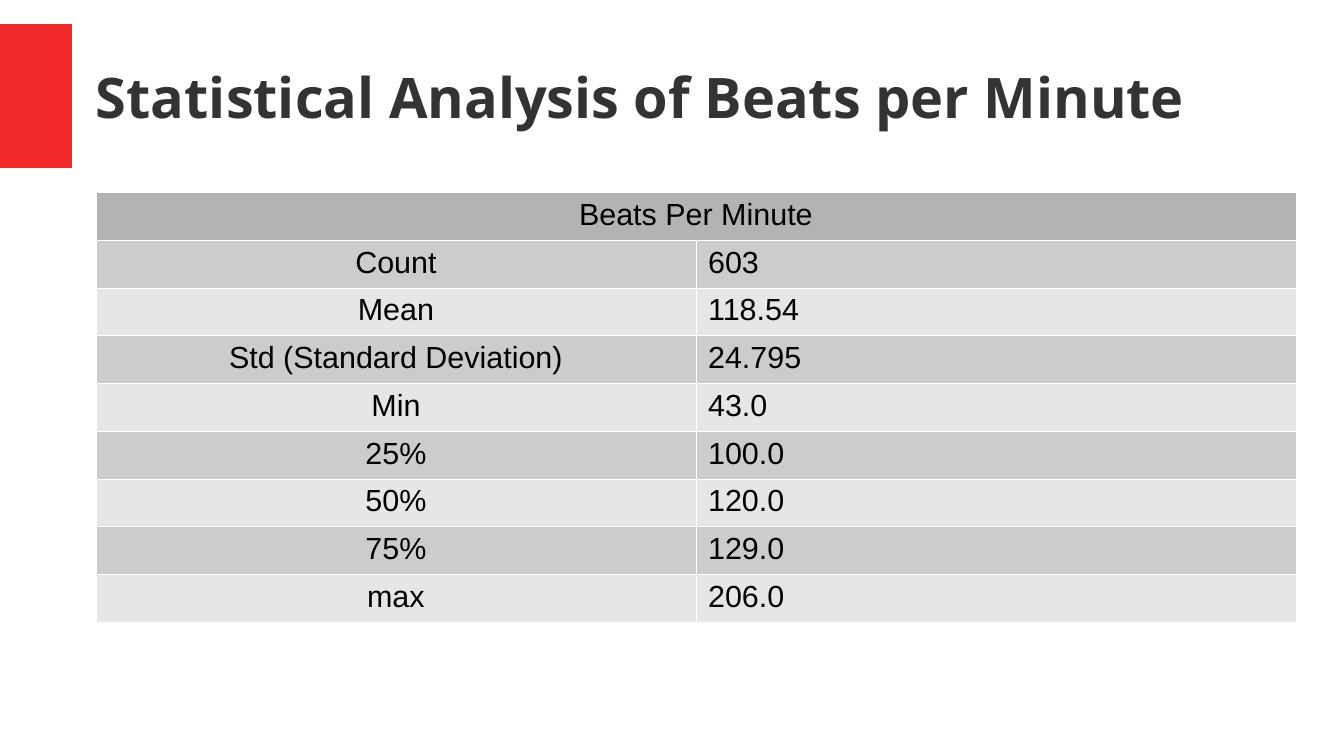
from dataclasses import dataclass

from lxml.etree import SubElement
from pptx import Presentation
from pptx.dml.color import RGBColor as Rgb
from pptx.enum.shapes import MSO_SHAPE as Shape
from pptx.enum.text import MSO_ANCHOR as Anchor, PP_ALIGN as Align
from pptx.oxml.ns import qn
from pptx.util import Pt


@dataclass(frozen=True)
class Theme:
    accent: str = "EF2929"
    title_color: str = "333333"
    text_color: str = "000000"
    border: str = "FFFFFF"
    header_fill: str = "B3B3B3"
    band_fills: tuple = ("CCCCCC", "E6E6E6")
    title_font: str = "Noto Sans"
    body_font: str = "Arial"
    title_size: float = 33
    body_size: float = 18
    border_width: float = 0.06


class SlideBuilder:
    def __init__(self, slide, theme):
        self.slide = slide
        self.theme = theme

    def bar(self, left, top, width, height):
        bar = self.slide.shapes.add_shape(
            Shape.RECTANGLE, Pt(left), Pt(top), Pt(width), Pt(height))
        bar.shadow.inherit = False
        bar.fill.solid()
        bar.fill.fore_color.rgb = Rgb.from_string(self.theme.accent)
        bar.line.fill.background()

    def title(self, text, left, top, width, height):
        box = self.slide.shapes.add_textbox(Pt(left), Pt(top), Pt(width), Pt(height))
        frame = box.text_frame
        frame.word_wrap = True
        frame.vertical_anchor = Anchor.MIDDLE
        frame.margin_left = frame.margin_right = 0
        frame.margin_top = frame.margin_bottom = 0
        para = frame.paragraphs[0]
        para.text = text
        self.style(para, self.theme.title_font, self.theme.title_size, self.theme.title_color)
        para.font.bold = True

    def table(self, heading, rows, left, top, width, row_height):
        """Add a two-column table under a heading that spans both columns."""
        row_count = len(rows) + 1
        frame = self.slide.shapes.add_table(
            row_count, 2, Pt(left), Pt(top), Pt(width), Pt(row_height * row_count))
        table = frame.table
        for row in table.rows:
            row.height = Pt(row_height)
        table.cell(0, 0).merge(table.cell(0, 1))
        for index, texts in enumerate([(heading, ""), *rows]):
            bands = self.theme.band_fills
            fill = bands[(index - 1) % len(bands)] if index else self.theme.header_fill
            for column, text in enumerate(texts):
                align = Align.LEFT if column else Align.CENTER
                self.cell(table.cell(index, column), text, fill, align)

    def cell(self, cell, text, fill, align):
        cell.margin_left = cell.margin_right = Pt(7.2)
        cell.margin_top = cell.margin_bottom = Pt(3.3)
        self.borders(cell)
        cell.fill.solid()
        cell.fill.fore_color.rgb = Rgb.from_string(fill)
        para = cell.text_frame.paragraphs[0]
        para.text = text
        para.alignment = align
        self.style(para, self.theme.body_font, self.theme.body_size, self.theme.text_color)

    def borders(self, cell):
        """Draw all four sides; must run before the fill, which follows them in the XML."""
        properties = cell._tc.get_or_add_tcPr()
        for side in ("a:lnL", "a:lnR", "a:lnT", "a:lnB"):
            line = SubElement(properties, qn(side), w=str(Pt(self.theme.border_width)))
            fill = SubElement(line, qn("a:solidFill"))
            SubElement(fill, qn("a:srgbClr"), val=self.theme.border)

    def style(self, para, name, size, color):
        para.font.name = name
        para.font.size = Pt(size)
        para.font.color.rgb = Rgb.from_string(color)


def main():
    deck = Presentation()
    deck.slide_width, deck.slide_height = Pt(793.7), Pt(446.4)
    page = SlideBuilder(deck.slides.add_slide(deck.slide_layouts[6]), Theme())

    left, width = 56.7, 708.6
    title_top, title_height = 14.2, 85
    page.bar(0, title_top, 42.5, title_height)
    page.title("Statistical Analysis of Beats per Minute", left, title_top, width, title_height)

    statistics = [
        ("Count", "603"),
        ("Mean", "118.54"),
        ("Std (Standard Deviation)", "24.795"),
        ("Min", "43.0"),
        ("25%", "100.0"),
        ("50%", "120.0"),
        ("75%", "129.0"),
        ("max", "206.0"),
    ]
    page.table("Beats Per Minute", statistics, left, 113.4, width, 27.36)
    deck.save("out.pptx")


if __name__ == "__main__":
    main()
